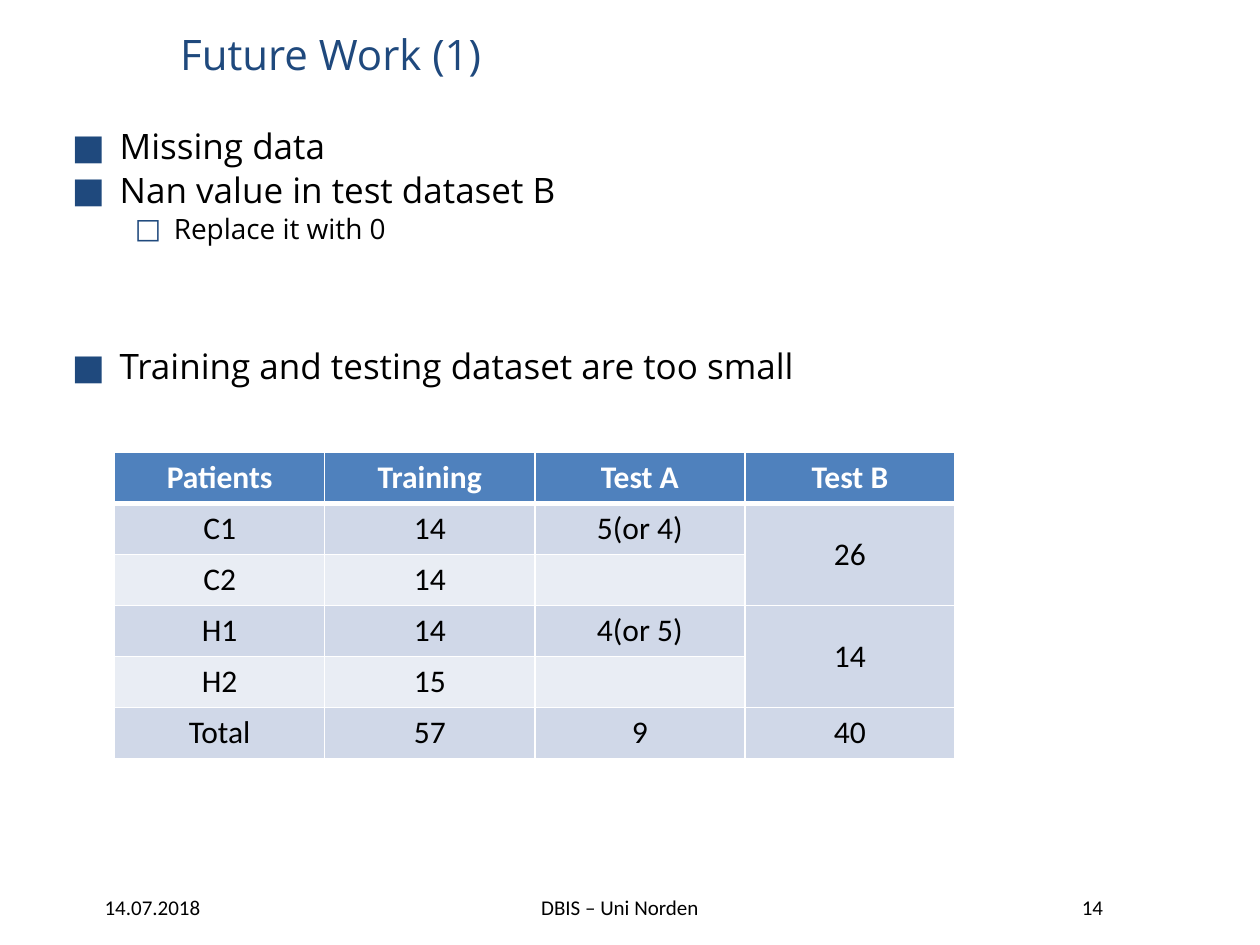
from lxml import etree
from pptx import Presentation
from pptx import util as u
from pptx.dml.color import RGBColor
from pptx.enum import text
from pptx.oxml.ns import qn

NAVY, BLACK, WHITE = "1F497D", "000000", "FFFFFF"
HEADER, BAND_DARK, BAND_LIGHT = "4F81BD", "D0D8E8", "E9EDF4"

# text, level, size, space before (pt)
BULLETS = [
    ("Missing data", 0, 20, 0),
    ("Nan value in test dataset B", 0, 20, 0.7),
    ("Replace it with 0", 1, 16, 0.7),
    ("Training and testing dataset are too small", 0, 20, 57),
]
# bullet character, left margin, hanging indent (inches) per level
LEVELS = [("■", 0.38, 0.38), ("□", 0.81, 0.31)]

PATIENTS = [
    ["Patients", "Training", "Test A", "Test B"],
    ["C1", "14", "5(or 4)", "26"],
    ["C2", "14", "", ""],
    ["H1", "14", "4(or 5)", "14"],
    ["H2", "15", "", ""],
    ["Total", "57", "9", "40"],
]
FOOTERS = [
    ("14.07.2018", 0.47, 1.48),
    ("DBIS – Uni Norden", 3.67, 2.5),
    ("14", 7.81, 1.72),
]


def rgb(color):
    return RGBColor.from_string(color)


def add_run(p, content, size, font, color, bold=False):
    r = p.add_run()
    r.text = content
    r.font.size = u.Pt(size)
    r.font.name = font
    r.font.bold = bold
    r.font.color.rgb = rgb(color)


def place(sp, left, top, width, height):
    sp.left, sp.top = u.Inches(left), u.Inches(top)
    sp.width, sp.height = u.Inches(width), u.Inches(height)


def set_bullet(p, char, margin, hanging):
    pPr = p._p.get_or_add_pPr()
    pPr.set("marL", str(u.Inches(margin)))
    pPr.set("indent", str(-u.Inches(hanging)))
    color = etree.SubElement(pPr, qn("a:buClr"))
    etree.SubElement(color, qn("a:srgbClr"), val=NAVY)
    etree.SubElement(pPr, qn("a:buFont"), typeface="Open Sans")
    etree.SubElement(pPr, qn("a:buChar"), char=char)


def add_title(s):
    sp = s.shapes.title
    place(sp, 1.33, 0.08, 7.5, 0.7)
    tf = sp.text_frame
    tf.auto_size = text.MSO_AUTO_SIZE.NONE
    tf.vertical_anchor = text.MSO_ANCHOR.MIDDLE
    p = tf.paragraphs[0]
    p.alignment = text.PP_ALIGN.LEFT
    add_run(p, "Future Work (1)", 24, "Open Sans", NAVY)


def add_bullets(s):
    sp = s.placeholders[1]
    place(sp, 0.47, 0.94, 9.06, 6.02)
    tf = sp.text_frame
    tf.auto_size = text.MSO_AUTO_SIZE.NONE
    for i, (content, level, size, gap) in enumerate(BULLETS):
        p = tf.add_paragraph() if i else tf.paragraphs[0]
        p.level = level
        p.space_before = u.Pt(gap)
        set_bullet(p, *LEVELS[level])
        add_run(p, content, size, "Open Sans", BLACK)


def set_borders(cell, row):
    tcPr = cell._tc.get_or_add_tcPr()
    for side in "LRTB":
        # the rule under the header row is heavier
        heavy = (row, side) in ((0, "B"), (1, "T"))
        ln = etree.SubElement(tcPr, qn("a:ln" + side), w=str(u.Pt(3 if heavy else 1)))
        fill = etree.SubElement(ln, qn("a:solidFill"))
        etree.SubElement(fill, qn("a:srgbClr"), val=WHITE)


def format_cell(cell, content, row):
    header = row == 0
    set_borders(cell, row)
    cell.fill.solid()
    cell.fill.fore_color.rgb = rgb(HEADER if header else BAND_DARK if row % 2 else BAND_LIGHT)
    cell.vertical_anchor = text.MSO_ANCHOR.MIDDLE
    if content:
        p = cell.text_frame.paragraphs[0]
        p.alignment = text.PP_ALIGN.CENTER
        add_run(p, content, 18, "Calibri", WHITE if header else BLACK, header)


def add_patient_table(s):
    rows, cols = len(PATIENTS), len(PATIENTS[0])
    table = s.shapes.add_table(rows, cols, u.Inches(0.91), u.Inches(3.59),
                               u.Inches(6.67), u.Inches(2.43)).table
    for row, values in enumerate(PATIENTS):
        for col, value in enumerate(values):
            format_cell(table.cell(row, col), value, row)
    # Test B counts cover both groups of each kind
    for row in (1, 3):
        table.cell(row, 3).merge(table.cell(row + 1, 3))


def add_footer(s, content, left, width):
    sp = s.shapes.add_textbox(u.Inches(left), u.Inches(7.05), u.Inches(width), u.Inches(0.3))
    tf = sp.text_frame
    tf.word_wrap = True
    tf.vertical_anchor = text.MSO_ANCHOR.MIDDLE
    p = tf.paragraphs[0]
    p.alignment = text.PP_ALIGN.CENTER
    add_run(p, content, 12, "Calibri", BLACK)


def main():
    prs = Presentation()
    prs.slide_width, prs.slide_height = u.Inches(10), u.Inches(7.5)
    s = prs.slides.add_slide(prs.slide_layouts[1])
    for footer in FOOTERS:
        add_footer(s, *footer)
    add_bullets(s)
    add_title(s)
    add_patient_table(s)
    prs.save("out.pptx")


if __name__ == "__main__":
    main()
